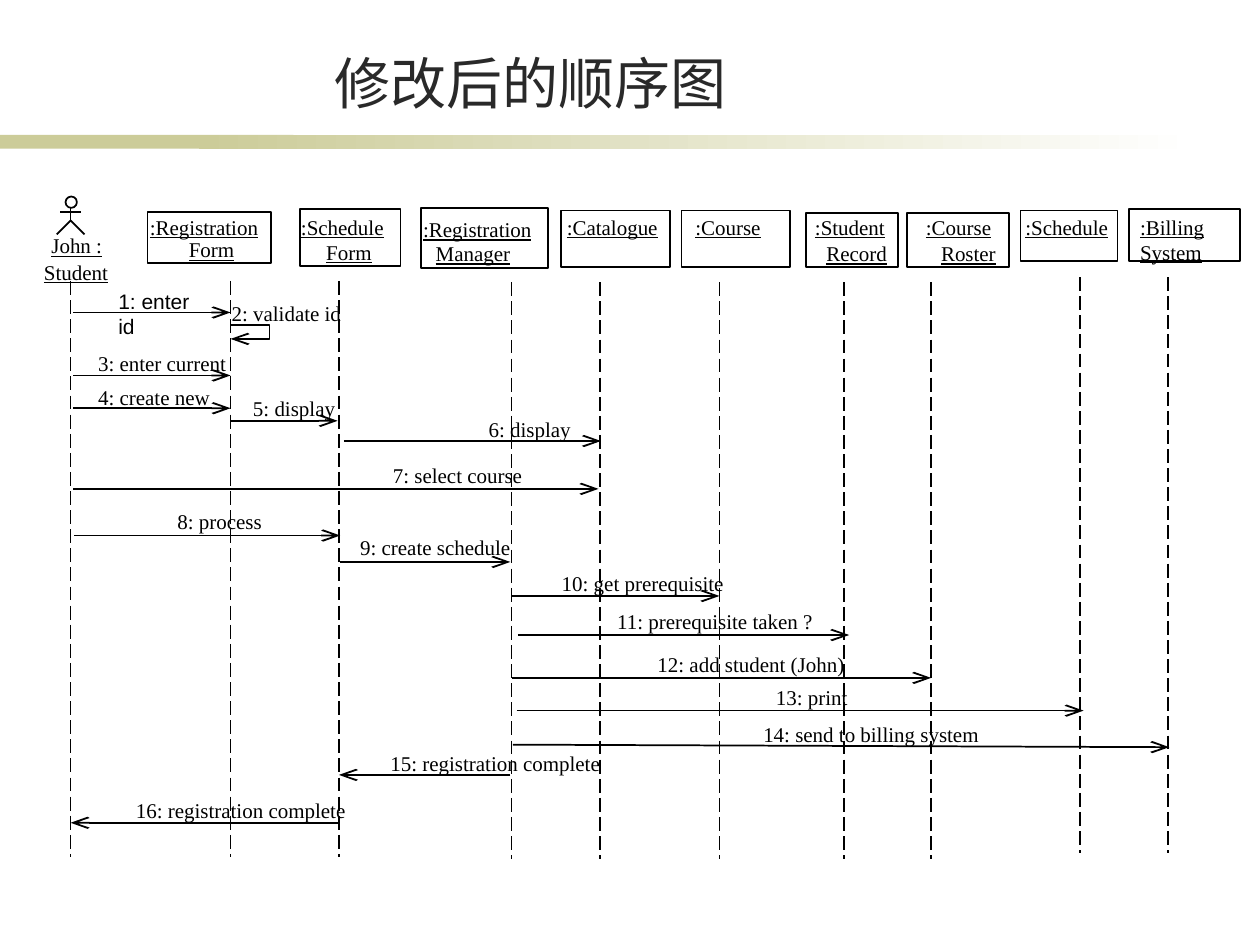
"""Build a slide with the revised sequence diagram for course registration."""
from lxml.etree import SubElement
from pptx import Presentation
from pptx.dml.color import RGBColor
from pptx.enum.dml import MSO_LINE
from pptx.enum.shapes import MSO_CONNECTOR, MSO_SHAPE
from pptx.enum.text import MSO_ANCHOR, PP_ALIGN
from pptx.oxml.ns import qn
from pptx.util import Inches, Pt

THEME = {
    "ink": RGBColor(0, 0, 0),
    "title": RGBColor(0x29, 0x29, 0x29),
    "band": RGBColor(0xCC, 0xCC, 0x99),
    "paper": RGBColor(0xFF, 0xFF, 0xFF),
    "serif": "Times New Roman",
    "sans": "Arial",
    "title_size": Pt(32),
    "text_size": Pt(12),
    "line": Pt(1),
}

TITLE = "修改后的顺序图"

# box, lifeline (x, top, bottom), labels (text, left, top, width)
PARTICIPANTS = [
    (None, (0.56, 2.23, 6.8),
     [("John :", 0.31, 1.8, 0.7), ("Student", 0.25, 2.01, 0.78)]),
    ((1.17, 1.68, 0.98, 0.41), (1.83, 2.23, 6.8),
     [(":Registration", 1.09, 1.65, 1.18), ("Form", 1.4, 1.83, 0.59)]),
    ((2.38, 1.66, 0.8, 0.45), (2.69, 2.23, 6.8),
     [(":Schedule", 2.29, 1.65, 0.99), ("Form", 2.49, 1.85, 0.59)]),
    ((3.34, 1.65, 1.01, 0.48), (4.06, 2.24, 6.82),
     [(":Registration", 3.26, 1.67, 1.18), ("Manager", 3.36, 1.86, 0.86)]),
    ((4.45, 1.67, 0.87, 0.45), (4.76, 2.24, 6.82),
     [(":Catalogue", 4.4, 1.65, 1.05)]),
    ((5.41, 1.67, 0.86, 0.45), (5.71, 2.24, 6.82),
     [(":Course", 5.42, 1.65, 0.78)]),
    ((6.4, 1.69, 0.73, 0.43), (6.7, 2.24, 6.82),
     [(":Student", 6.37, 1.65, 0.87), ("Record", 6.46, 1.86, 0.74)]),
    ((7.2, 1.69, 0.81, 0.43), (7.39, 2.24, 6.82),
     [(":Course", 7.25, 1.65, 0.83), ("Roster", 7.37, 1.86, 0.69)]),
    ((8.1, 1.67, 0.77, 0.4), (8.57, 2.2, 6.77),
     [(":Schedule", 8.04, 1.65, 0.94)]),
    ((8.96, 1.66, 0.88, 0.41), (9.27, 2.2, 6.77),
     [(":Billing\nSystem", 8.95, 1.65, 0.76)]),
]

# text, label (left, top, width), arrow points
MESSAGES = [
    ("enter id", (0.84, 2.24, 0.88), [(0.58, 2.48), (1.83, 2.48)]),
    ("validate id", (1.74, 2.34, 1.13),
     [(1.83, 2.58), (2.14, 2.58), (2.14, 2.69), (1.83, 2.69)]),
    ("enter current", (0.68, 2.73, 1.38), [(0.58, 2.98), (1.83, 2.98)]),
    ("create new", (0.68, 3, 1.25), [(0.58, 3.24), (1.83, 3.24)]),
    ("display", (1.91, 3.09, 0.9), [(1.83, 3.34), (2.68, 3.34)]),
    ("display", (3.78, 3.26, 0.95), [(2.73, 3.5), (4.77, 3.5)]),
    ("select course", (3.02, 3.62, 1.37), [(0.58, 3.88), (4.75, 3.88)]),
    ("process", (1.31, 3.99, 0.97), [(0.59, 4.25), (2.7, 4.25)]),
    ("create schedule", (2.76, 4.19, 1.61), [(2.7, 4.46), (4.05, 4.46)]),
    ("get prerequisite", (4.36, 4.48, 1.62), [(4.06, 4.73), (5.71, 4.73)]),
    ("prerequisite taken ?", (4.8, 4.78, 1.94), [(4.11, 5.04), (6.74, 5.04)]),
    ("add student (John)", (5.12, 5.12, 1.86), [(4.06, 5.38), (7.39, 5.38)]),
    ("print", (6.06, 5.38, 0.8), [(4.1, 5.64), (8.6, 5.64)]),
    ("send to billing system", (5.96, 5.68, 2.07), [(4.07, 5.91), (9.28, 5.93)]),
    ("registration complete", (3, 5.91, 2.02), [(4.05, 6.15), (2.69, 6.15)]),
    ("registration complete", (0.98, 6.28, 2.02), [(2.68, 6.53), (0.56, 6.53)]),
]


def style_line(sp, dashed=False, arrow=False):
    sp.line.color.rgb = THEME["ink"]
    sp.line.width = THEME["line"]
    if dashed:
        sp.line.dash_style = MSO_LINE.LONG_DASH
    if arrow:
        ln = sp.line._get_or_add_ln()
        SubElement(ln, qn("a:tailEnd"), type="arrow", w="med", len="lg")


def add_line(slide, start, end, **style):
    sp = slide.shapes.add_connector(
        MSO_CONNECTOR.STRAIGHT, *map(Inches, (*start, *end)))
    style_line(sp, **style)
    SubElement(sp._element.spPr, qn("a:effectLst"))


def add_polyline(slide, points, **style):
    pts = [(Inches(x), Inches(y)) for x, y in points]
    builder = slide.shapes.build_freeform(*pts[0])
    builder.add_line_segments(pts[1:], close=False)
    sp = builder.convert_to_shape()
    sp.fill.background()
    sp.shadow.inherit = False
    style_line(sp, **style)


def add_outline(slide, kind, box):
    sp = slide.shapes.add_shape(kind, *map(Inches, box))
    sp.fill.background()
    sp.shadow.inherit = False
    style_line(sp)


def add_label(slide, text, left, top, width, font="serif", underline=False):
    lines = text.split("\n")
    height = 0.1 + 0.2 * len(lines)
    sp = slide.shapes.add_textbox(*map(Inches, (left, top, width, height)))
    tf = sp.text_frame
    tf.word_wrap = True
    tf.text = text
    for p in tf.paragraphs:
        p.font.name = THEME[font]
        p.font.size = THEME["text_size"]
        p.font.color.rgb = THEME["ink"]
        if underline:
            p.font.underline = True


def add_band(slide, left, width, fade):
    sp = slide.shapes.add_shape(
        MSO_SHAPE.RECTANGLE, *map(Inches, (left, 1.07, width, 0.11)))
    sp.shadow.inherit = False
    sp.line.fill.background()
    if fade:
        sp.fill.gradient()
        sp.fill.gradient_angle = 0
        for stop, color in zip(sp.fill.gradient_stops, ("band", "paper")):
            stop.color.rgb = THEME[color]
    else:
        sp.fill.solid()
        sp.fill.fore_color.rgb = THEME["band"]


def add_title(slide):
    sp = slide.shapes.title
    sp.left, sp.top, sp.width, sp.height = map(Inches, (1.14, 0.29, 6.14, 0.63))
    tf = sp.text_frame
    tf.text = TITLE
    tf.vertical_anchor = MSO_ANCHOR.BOTTOM
    tf.margin_left = tf.margin_top = tf.margin_right = tf.margin_bottom = 0
    p = tf.paragraphs[0]
    p.alignment = PP_ALIGN.CENTER
    p.font.name = THEME["sans"]
    p.font.size = THEME["title_size"]
    p.font.color.rgb = THEME["title"]


def add_actor(slide):
    add_outline(slide, MSO_SHAPE.OVAL, (0.52, 1.56, 0.09, 0.09))
    add_line(slide, (0.56, 1.65), (0.56, 1.75))
    add_line(slide, (0.48, 1.68), (0.64, 1.68))
    add_polyline(slide, [(0.45, 1.86), (0.56, 1.75), (0.67, 1.86)])


def main():
    prs = Presentation()
    prs.slide_width, prs.slide_height = Inches(10), Inches(7.5)
    slide = prs.slides.add_slide(prs.slide_layouts[5])
    add_band(slide, 0, 2.33, fade=False)
    add_band(slide, 1.58, 7.92, fade=True)
    add_title(slide)
    add_actor(slide)
    for box, (x, top, bottom), labels in PARTICIPANTS:
        if box:
            add_outline(slide, MSO_SHAPE.RECTANGLE, box)
        for label in labels:
            add_label(slide, *label, underline=True)
        add_line(slide, (x, top), (x, bottom), dashed=True)
    for number, (text, place, points) in enumerate(MESSAGES, 1):
        draw = add_polyline if len(points) > 2 else None
        if draw:
            draw(slide, points, arrow=True)
        else:
            add_line(slide, *points, arrow=True)
        font = "sans" if number == 1 else "serif"
        add_label(slide, f"{number}: {text}", *place, font=font)
    prs.save("out.pptx")


if __name__ == "__main__":
    main()
